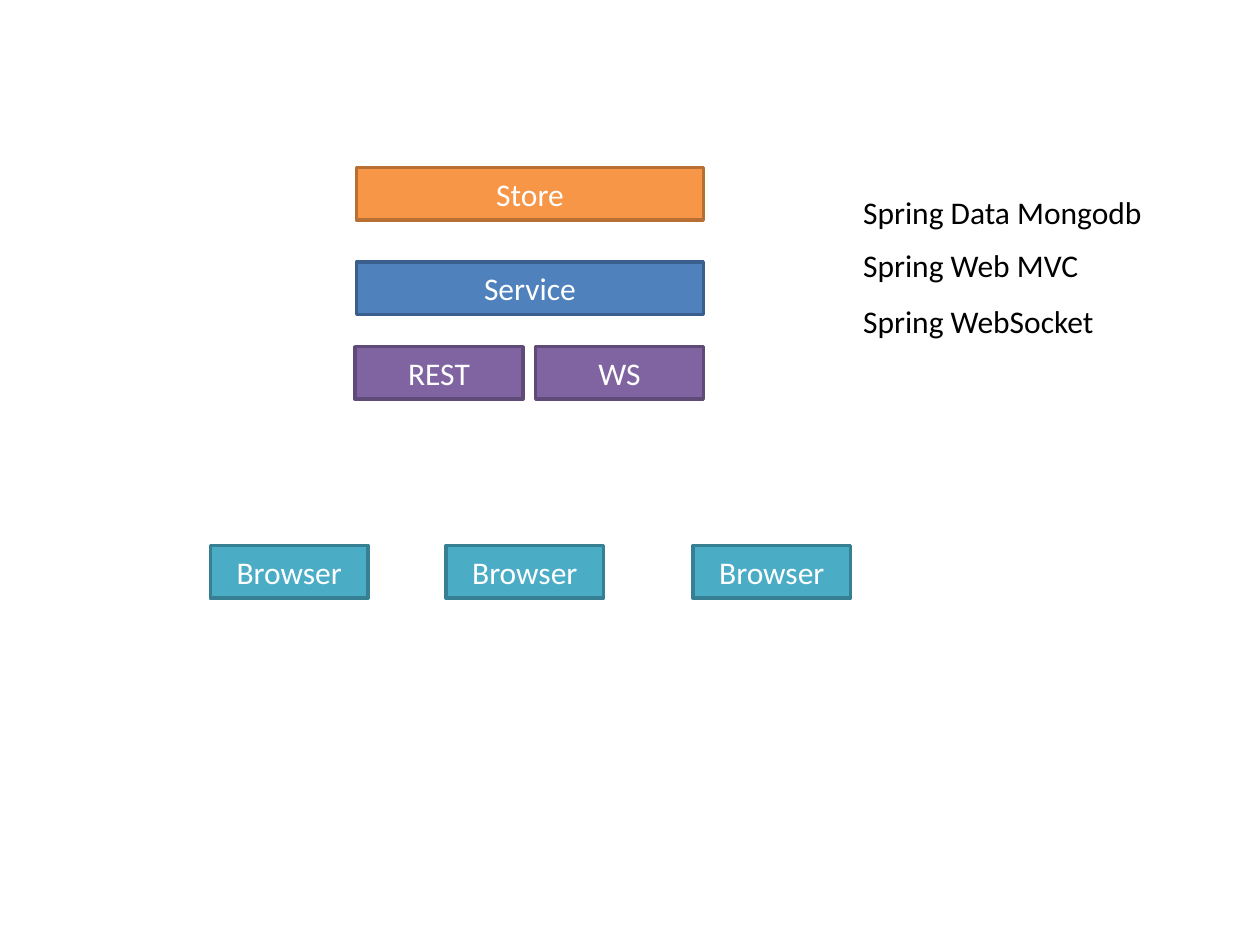
from pptx import Presentation
from pptx.dml.color import RGBColor
from pptx.enum.shapes import MSO_SHAPE
from pptx.enum.text import MSO_ANCHOR, MSO_AUTO_SIZE, PP_ALIGN
from pptx.util import Cm, Pt

RECTANGLE = MSO_SHAPE.RECTANGLE
MIDDLE = MSO_ANCHOR.MIDDLE
GROW = MSO_AUTO_SIZE.SHAPE_TO_FIT_TEXT
LEFT, CENTER = PP_ALIGN.LEFT, PP_ALIGN.CENTER

BOX_HEIGHT = 1.06
LABEL_LEFT, LABEL_HEIGHT = 17.15, 1.02

# Each tier: top, box width, fill, line, boxes as (left, text); lengths in cm
TIERS = [
    (3.38, 6.99, "F79646", "B76F34", [(7.19, "Store")]),
    (5.28, 6.99, "4F81BD", "3A5F8C", [(7.19, "Service")]),
    (6.99, 3.38, "8064A2", "5F4A78", [(7.16, "REST"), (10.8, "WS")]),
    (11, 3.18, "4BACC6", "377F92",
     [(left, "Browser") for left in (4.24, 8.99, 13.97)]),
]
# Each library label: top, width, text
LIBRARIES = [
    (3.76, 6.2, "Spring Data Mongodb"),
    (4.83, 4.9, "Spring Web MVC"),
    (5.97, 5.21, "Spring WebSocket"),
]


def color(value):
    """Turn a hex string into a colour."""
    return RGBColor.from_string(value)


def write(shape, text, font_color, alignment):
    """Put one line of text into a shape."""
    paragraph = shape.text_frame.paragraphs[0]
    paragraph.text = text
    paragraph.alignment = alignment
    paragraph.font.name = "Calibri"
    paragraph.font.size = Pt(18)
    paragraph.font.color.rgb = color(font_color)


def add_box(slide, left, top, width, text, fill, line):
    """Add a filled box with a centred caption."""
    shape = slide.shapes.add_shape(
        RECTANGLE, Cm(left), Cm(top), Cm(width), Cm(BOX_HEIGHT))
    shape.shadow.inherit = False
    shape.fill.solid()
    shape.fill.fore_color.rgb = color(fill)
    shape.line.color.rgb = color(line)
    shape.line.width = Pt(2)
    shape.text_frame.vertical_anchor = MIDDLE
    write(shape, text, "FFFFFF", CENTER)


def add_label(slide, top, width, text):
    """Add a library name beside the tiers."""
    shape = slide.shapes.add_textbox(
        Cm(LABEL_LEFT), Cm(top), Cm(width), Cm(LABEL_HEIGHT))
    shape.text_frame.word_wrap = False
    shape.text_frame.auto_size = GROW
    write(shape, text, "000000", LEFT)


presentation = Presentation()
presentation.slide_width, presentation.slide_height = Cm(25.4), Cm(19.05)
slide = presentation.slides.add_slide(presentation.slide_layouts[6])

for top, width, fill, line, boxes in TIERS:
    for left, text in boxes:
        add_box(slide, left, top, width, text, fill, line)
for top, width, text in LIBRARIES:
    add_label(slide, top, width, text)

presentation.save("out.pptx")
